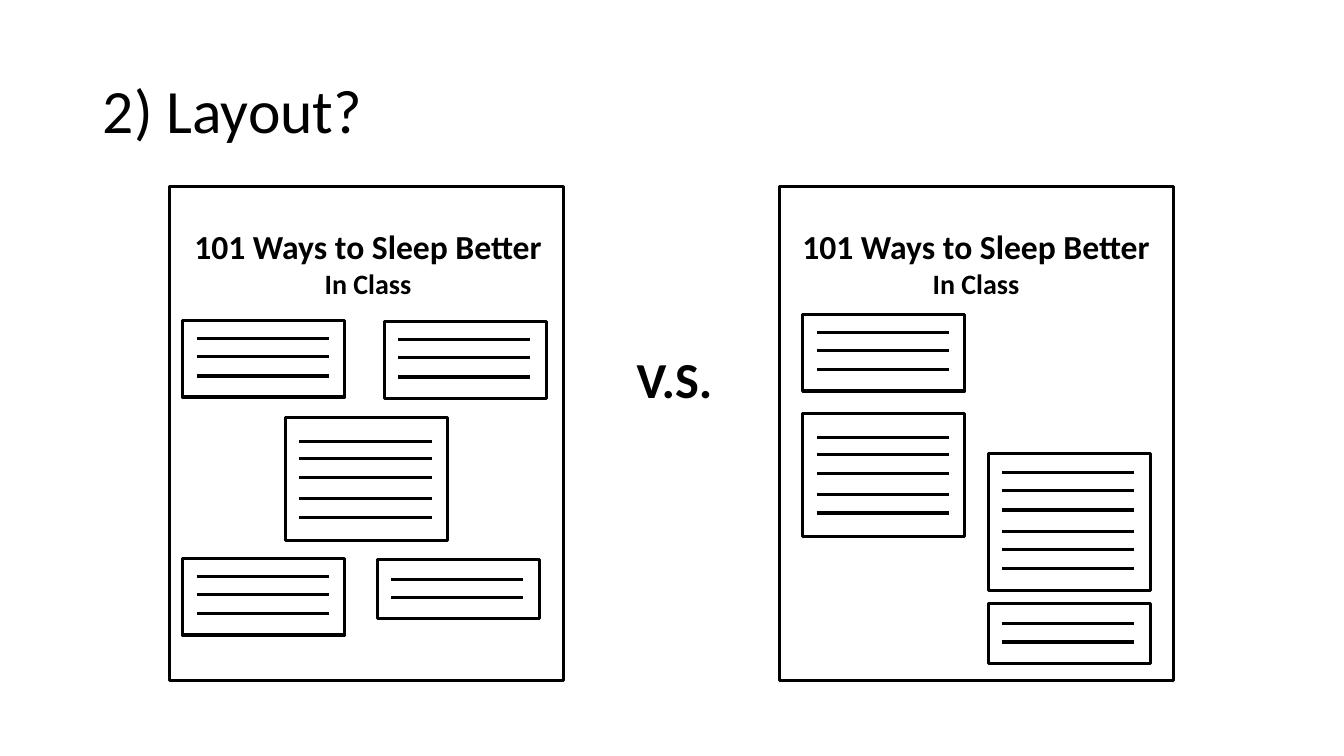
from pptx import Presentation
from pptx.dml.color import RGBColor
from pptx.enum.shapes import MSO_CONNECTOR, MSO_SHAPE
from pptx.enum.text import MSO_ANCHOR, MSO_AUTO_SIZE, PP_ALIGN
from pptx.oxml.ns import qn
from pptx.util import Inches, Pt
from lxml import etree

BLACK = RGBColor(0, 0, 0)
FONT = "Calibri"
RECTANGLE = MSO_SHAPE.RECTANGLE
STRAIGHT = MSO_CONNECTOR.STRAIGHT
LINE_WIDTH = Pt(2.25)

PAGE_TOP, PAGE_WIDTH, PAGE_HEIGHT = 1.85, 3.91, 4.9
BLOCK_WIDTH, RULE_INDENT, RULE_LENGTH = 1.61, 0.14, 1.31
HEADING = [("101 Ways to Sleep Better", 24), ("In Class", 20)]

# Number of lines in a text block: its height and the drop of each line
BLOCK_STYLES = {
    2: (0.59, [0.2, 0.38]),
    3: (0.76, [0.18, 0.36, 0.55]),
    5: (1.22, [0.24, 0.41, 0.6, 0.81, 0.99]),
    6: (1.36, [0.19, 0.37, 0.56, 0.77, 0.95, 1.14]),
}

# Page left, heading left, and the blocks as (left, top, number of lines)
PAGES = [
    (1.68, 1.81, [(3.74, 5.55, 2), (1.81, 3.18, 3), (2.83, 4.14, 5),
                  (3.81, 3.19, 3), (1.81, 5.54, 3)]),
    (7.73, 7.84, [(7.96, 3.12, 3), (7.96, 4.1, 5), (9.8, 4.5, 6),
                  (9.8, 5.99, 2)]),
]


def add_box(shapes, left, top, width, height):
    box = shapes.add_shape(RECTANGLE, Inches(left), Inches(top),
                           Inches(width), Inches(height))
    box.shadow.inherit = False
    box.fill.background()
    box.line.color.rgb = BLACK
    box.line.width = LINE_WIDTH


def add_label(shapes, left, top, width, height, lines):
    label = shapes.add_textbox(Inches(left), Inches(top), Inches(width), Inches(height))
    text_frame = label.text_frame
    text_frame.word_wrap = False
    text_frame.auto_size = MSO_AUTO_SIZE.SHAPE_TO_FIT_TEXT
    text_frame.text = "\n".join(text for text, size in lines)
    for paragraph, (text, size) in zip(text_frame.paragraphs, lines):
        paragraph.alignment = PP_ALIGN.CENTER
        font = paragraph.runs[0].font
        font.name, font.size, font.bold = FONT, Pt(size), True
        font.color.rgb = BLACK


presentation = Presentation()
presentation.slide_width = Inches(13.33)
presentation.slide_height = Inches(7.5)
slide = presentation.slides.add_slide(presentation.slide_layouts[5])

# Title
title = slide.shapes.title
title.left, title.top = Inches(0.92), Inches(0.4)
title.width, title.height = Inches(11.5), Inches(1.45)
title.text_frame.text = "2) Layout?"
title.text_frame.vertical_anchor = MSO_ANCHOR.MIDDLE
title_paragraph = title.text_frame.paragraphs[0]
title_paragraph.alignment = PP_ALIGN.LEFT
title_paragraph.line_spacing = 0.9
title_font = title_paragraph.runs[0].font
title_font.name, title_font.size = FONT, Pt(44)
title_font.color.rgb = BLACK

# The two page sketches
for page_left, heading_left, blocks in PAGES:
    add_box(slide.shapes, page_left, PAGE_TOP, PAGE_WIDTH, PAGE_HEIGHT)
    add_label(slide.shapes, heading_left, 2.19, 3.68, 0.84, HEADING)

    # Each text block is a group of a frame and its lines
    for left, top, line_count in blocks:
        height, drops = BLOCK_STYLES[line_count]
        block = slide.shapes.add_group_shape()
        add_box(block.shapes, left, top, BLOCK_WIDTH, height)
        rule_left = left + RULE_INDENT
        for drop in drops:
            rule = block.shapes.add_connector(
                STRAIGHT, Inches(rule_left), Inches(top + drop),
                Inches(rule_left + RULE_LENGTH), Inches(top + drop))
            rule.line.color.rgb = BLACK
            rule.line.width = LINE_WIDTH
            etree.SubElement(rule._element.spPr, qn("a:effectLst"))

# Comparison label between the pages
add_label(slide.shapes, 6.18, 3.4, 1.02, 0.71, [("V.S.", 36)])

presentation.save("out.pptx")
